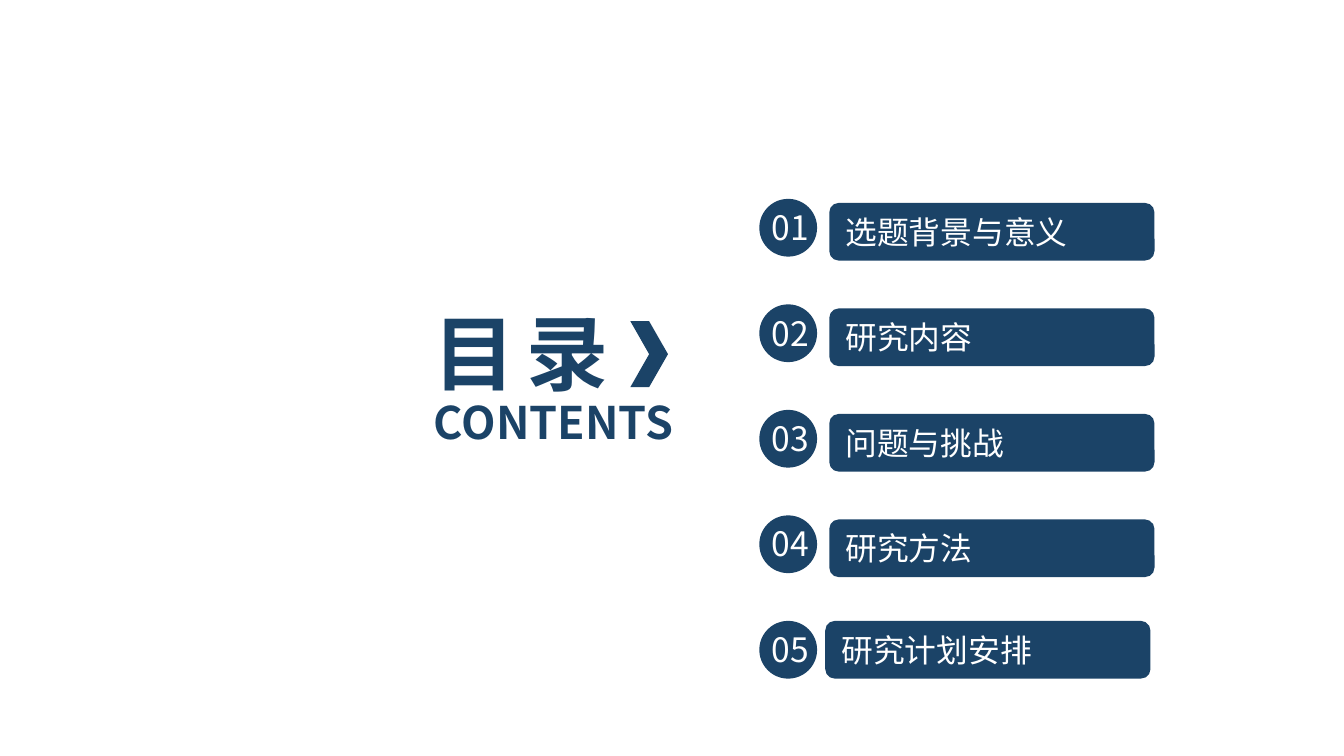
import pptx
import pptx.util
import pptx.dml.color
import pptx.enum.shapes
import pptx.enum.text
import pptx.oxml
import pptx.oxml.ns

Inches = pptx.util.Inches
Shape = pptx.enum.shapes.MSO_SHAPE
Align = pptx.enum.text.PP_ALIGN

FONT = "Noto Sans CJK SC"
NAVY = "1B4367"
WHITE = "FFFFFF"
TOPICS = ["选题背景与意义", "研究内容", "问题与挑战", "研究方法", "研究计划安排"]
FIRST, LAST = 1.48, 4.62
STEP = (LAST - FIRST) / (len(TOPICS) - 1)


def color(code):
    return pptx.dml.color.RGBColor.from_string(code)


def write(shape, text, size, code, bold=False, align=Align.LEFT, space=0):
    frame = shape.text_frame
    frame.word_wrap = True
    frame.vertical_anchor = pptx.enum.text.MSO_ANCHOR.MIDDLE
    para = frame.paragraphs[0]
    para.alignment = align
    run = para.add_run()
    run.text = text
    font = para.font
    font.name = FONT
    font.size = pptx.util.Pt(size)
    font.bold = bold
    font.color.rgb = color(code)
    # East Asian typeface and letter spacing live on the run
    props = run._r.get_or_add_rPr()
    if space:
        props.set("spc", str(round(space * 100)))
    face = pptx.oxml.parse_xml(
        f'<a:ea {pptx.oxml.ns.nsdecls("a")} typeface="{FONT}"/>')
    props.append(face)


def add_solid(slide, kind, left, top, width, height):
    shape = slide.shapes.add_shape(
        kind, Inches(left), Inches(top), Inches(width), Inches(height))
    shape.shadow.inherit = False
    shape.fill.solid()
    shape.fill.fore_color.rgb = color(NAVY)
    shape.line.fill.background()
    return shape


def add_label(slide, left, top, width, height, *args, **style):
    box = slide.shapes.add_textbox(
        Inches(left), Inches(top), Inches(width), Inches(height))
    write(box, *args, **style)


def add_title(slide):
    add_label(slide, 3.13, 2.2, 2.35, 0.84, "目 录", 44, NAVY,
              bold=True, space=-2.2)
    add_label(slide, 3.13, 2.89, 2.31, 0.5, "CONTENTS", 24, NAVY, bold=True)
    add_solid(slide, Shape.CHEVRON, 4.69, 2.39, 0.28, 0.49)


def add_topic(slide, index, topic):
    top = FIRST + index * STEP
    # The last bar sits slightly up and to the left
    last = index == len(TOPICS) - 1
    left, drop = (6.14, 0) if last else (6.17, 0.03)
    bar = add_solid(slide, Shape.ROUNDED_RECTANGLE, left, top + drop, 2.42, 0.43)
    write(bar, topic, 17, WHITE)
    # Number badge
    add_solid(slide, Shape.OVAL, 5.65, top, 0.43, 0.43)
    add_label(slide, 5.62, top + 0.01, 0.52, 0.4, f"{index + 1:02}", 18, WHITE,
              align=Align.CENTER)


def main():
    deck = pptx.Presentation()
    # Widescreen, 16:9
    deck.slide_width = Inches(10)
    deck.slide_height = Inches(10 * 9 / 16)
    slide = deck.slides.add_slide(deck.slide_layouts[6])
    add_title(slide)
    for index, topic in enumerate(TOPICS):
        add_topic(slide, index, topic)
    deck.save("out.pptx")


if __name__ == "__main__":
    main()
